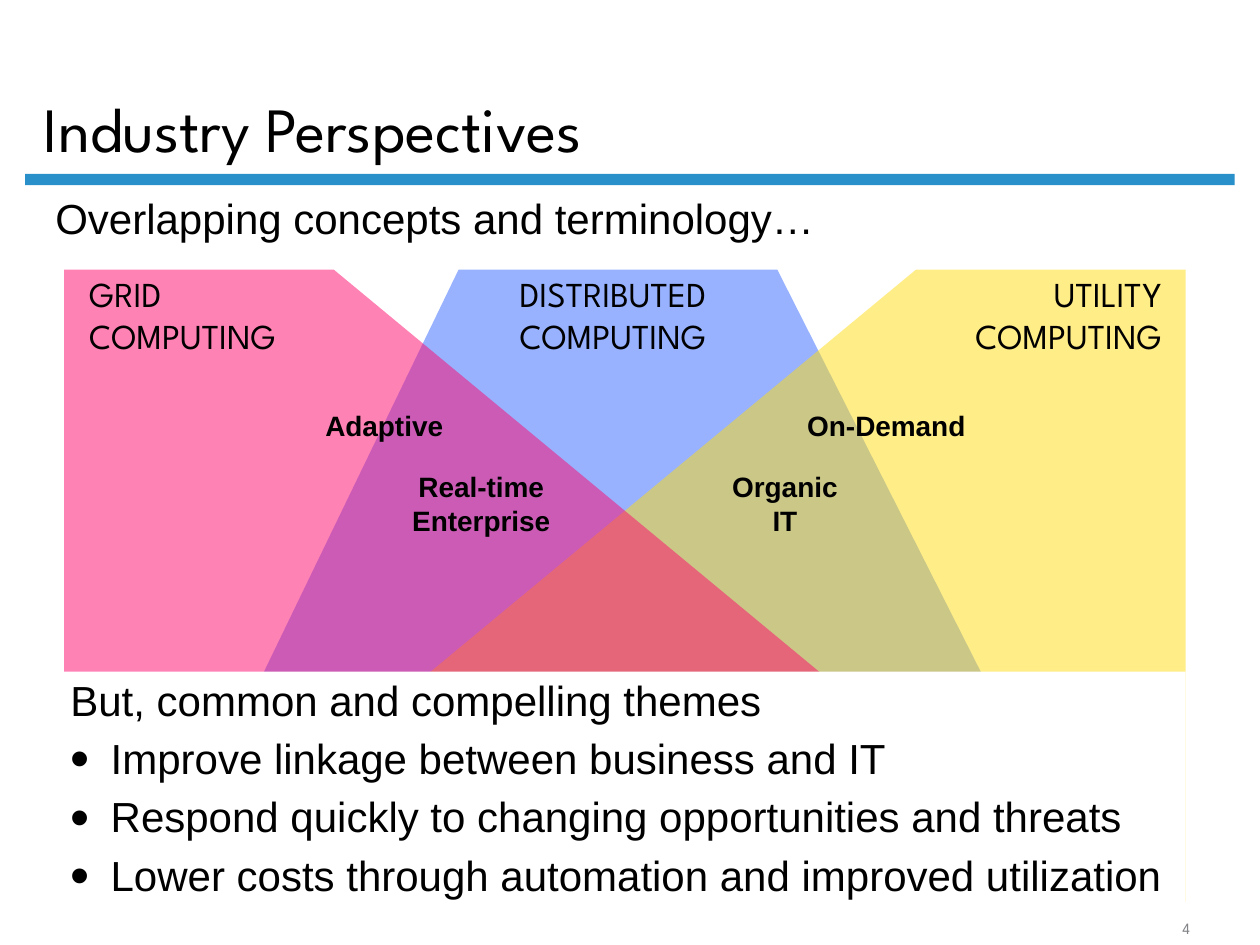
from lxml import etree
from pptx import Presentation
from pptx.dml.color import RGBColor
from pptx.enum.shapes import MSO_SHAPE
from pptx.enum.text import MSO_ANCHOR, PP_ALIGN
from pptx.oxml.ns import qn
from pptx.util import Inches, Pt

RECTANGLE = MSO_SHAPE.RECTANGLE
TOP, BOTTOM = MSO_ANCHOR.TOP, MSO_ANCHOR.BOTTOM
LEFT, CENTER, RIGHT = PP_ALIGN.LEFT, PP_ALIGN.CENTER, PP_ALIGN.RIGHT

BLACK = RGBColor(0x00, 0x00, 0x00)
WHITE = RGBColor(0xFF, 0xFF, 0xFF)
GRAY = RGBColor(0x84, 0x85, 0x89)
RULE_BLUE = RGBColor(0x29, 0x90, 0xCA)
BLUE = RGBColor(0x33, 0x66, 0xFF)
YELLOW = RGBColor(0xFF, 0xDD, 0x11)
PINK = RGBColor(0xFF, 0x06, 0x6D)

HEADING_FONT = "League Spartan"
BODY_FONT = "Arial"


def style_shape(shape, color, opacity=None):
    """Give a shape a flat fill, optionally see-through, and no line."""
    shape.shadow.inherit = False
    shape.fill.solid()
    shape.fill.fore_color.rgb = color
    shape.line.fill.background()
    if opacity is not None:
        color_element = shape.fill._xPr.find(qn("a:solidFill"))[0]
        alpha = etree.SubElement(color_element, qn("a:alpha"))
        alpha.set("val", str(opacity * 1000))


def add_rectangle(slide, box, color):
    shape = slide.shapes.add_shape(RECTANGLE, *map(Inches, box))
    style_shape(shape, color)
    return shape


def add_bullet(paragraph, indent):
    properties = paragraph._p.get_or_add_pPr()
    properties.set("marL", str(Inches(indent)))
    properties.set("indent", str(-Inches(indent)))
    for tag, name, value in (
        ("a:buSzPct", "val", "130000"),
        ("a:buFont", "typeface", BODY_FONT),
        ("a:buChar", "char", "•"),
    ):
        etree.SubElement(properties, qn(tag)).set(name, value)


def write_text(shape, lines, *, size, font=BODY_FONT, color=BLACK, bold=False,
               align=LEFT, anchor=TOP, wrap=True, line_spacing=None,
               space_before=0, bullets_from=None):
    """Write one paragraph per line; bullets start at the given line."""
    frame = shape.text_frame
    frame.word_wrap = wrap
    frame.vertical_anchor = anchor
    for index, line in enumerate(lines):
        paragraph = frame.add_paragraph() if index else frame.paragraphs[0]
        if bullets_from is not None and index >= bullets_from:
            add_bullet(paragraph, 0.32)
        paragraph.alignment = align
        if line_spacing:
            paragraph.line_spacing = line_spacing
        if index and space_before:
            paragraph.space_before = Pt(space_before)
        run = paragraph.add_run()
        run.text = line
        run.font.size = Pt(size)
        run.font.name = font
        run.font.bold = bold
        run.font.color.rgb = color


def add_text(slide, box, lines, **text_format):
    write_text(slide.shapes.add_textbox(*map(Inches, box)), lines, **text_format)


def add_header(slide, box):
    """Title standing on a full-width rule."""
    left, top, width, height = box
    add_rectangle(slide, (left, top + height - 0.09, width, 0.09), RULE_BLUE)
    add_text(slide, (left + 0.05, top, 8.56, 1.25), ["Industry Perspectives"],
             size=36, font=HEADING_FONT, anchor=BOTTOM, line_spacing=0.9)


def add_area(slide, points, color):
    corners = [(Inches(x), Inches(y)) for x, y in points]
    builder = slide.shapes.build_freeform(*corners[0], scale=1.0)
    builder.add_line_segments(corners[1:], close=True)
    style_shape(builder.convert_to_shape(), color, opacity=50)


def add_overlap_diagram(slide, box):
    """Three see-through areas with headings and the terms they share."""
    left, top, width, height = box
    right, bottom = left + width, top + height
    short, long = 2.14, 8.2  # top and bottom edges of the side areas

    # Areas, from back to front
    add_area(slide, [(left + 0.7, bottom), (left + 3.13, top),
                     (right - 3.24, top), (right - 0.7, bottom)], BLUE)
    add_area(slide, [(right, top), (right - short, top),
                     (right - long, bottom), (right, bottom)], YELLOW)
    add_area(slide, [(left, top), (left + short, top),
                     (left + long, bottom), (left, bottom)], PINK)

    # Area headings
    for x, heading_width, word, align in (
        (0.1, 1.88, "GRID", LEFT),
        (3.37, 1.97, "DISTRIBUTED", CENTER),
        (6.93, 1.88, "UTILITY", RIGHT),
    ):
        add_text(slide, (left + x, top - 0.03, heading_width, 0.77),
                 [word, "COMPUTING"], size=20, font=HEADING_FONT,
                 align=align, wrap=False)

    # Shared terms
    for x, y, term_width, term_height, term in (
        (1.92, 1.05, 1.24, 0.37, "Adaptive"),
        (2.63, 1.54, 1.36, 0.64, "Real-time Enterprise"),
        (5.17, 1.54, 1.1, 0.64, "Organic IT"),
        (5.79, 1.05, 1.47, 0.37, "On-Demand"),
    ):
        add_text(slide, (left + x, top + y, term_width, term_height), [term],
                 size=16, bold=True, align=CENTER)


def add_themes(slide, box):
    """White panel over the foot of the diagram, with the common themes."""
    write_text(add_rectangle(slide, box, WHITE), [
        "But, common and compelling themes",
        "Improve linkage between business and IT",
        "Respond quickly to changing opportunities and threats",
        "Lower costs through automation and improved utilization",
    ], size=24, line_spacing=0.95, space_before=6, bullets_from=1)


def main():
    presentation = Presentation()
    presentation.slide_width = Inches(10)
    presentation.slide_height = Inches(7.5)
    slide = presentation.slides.add_slide(presentation.slide_layouts[6])

    add_header(slide, (0.2, 0.12, 9.6, 1.35))
    add_overlap_diagram(slide, (0.51, 2.14, 8.9, 5.02))
    add_text(slide, (0.34, 1.48, 8.79, 0.5),
             ["Overlapping concepts and terminology…"], size=24)
    add_themes(slide, (0.46, 5.33, 8.95, 1.87))
    # Slide number
    add_text(slide, (9, 7.25, 0.83, 0.24), ["4"], size=9, font=HEADING_FONT,
             color=GRAY, align=CENTER, anchor=BOTTOM)

    presentation.save("out.pptx")


if __name__ == "__main__":
    main()
